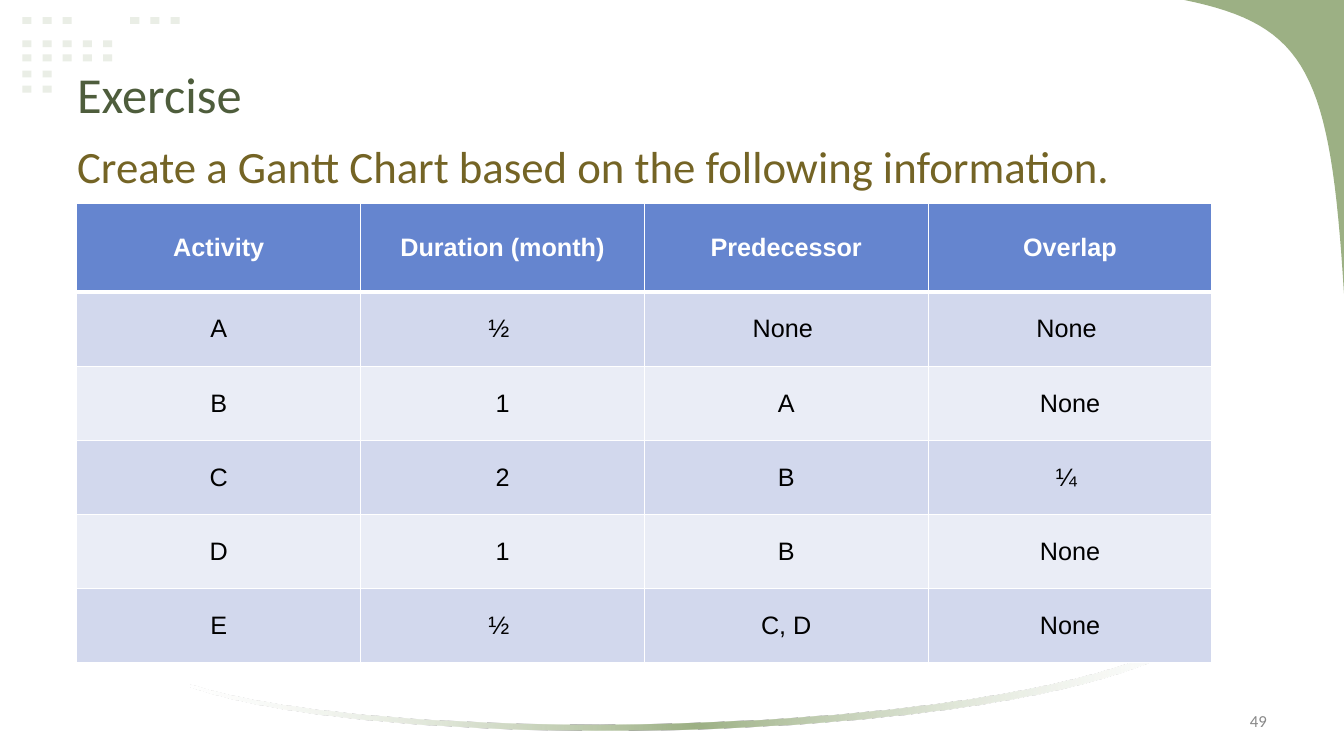
from dataclasses import dataclass

from lxml.etree import SubElement as Sub
from pptx import Presentation
from pptx.dml.color import RGBColor as RGB
from pptx.enum.shapes import MSO_SHAPE as Shape
from pptx.enum.text import MSO_ANCHOR as Anchor, PP_ALIGN as Align
from pptx.oxml import parse_xml
from pptx.oxml.ns import nsdecls, qn
from pptx.util import Pt


@dataclass(frozen=True)
class Theme:
    head_font: str = "Calibri"
    cell_font: str = "Arial"
    title: str = "4E5D3C"
    body: str = "746425"
    number: str = "888888"
    white: str = "FFFFFF"
    black: str = "000000"
    green: str = "9CB084"
    dot: str = "EAEEE6"
    header: str = "6585CF"
    bands: tuple = ("D2D8ED", "EAEDF6")
    title_size: int = 36
    body_size: int = 32
    cell_size: int = 18
    number_size: int = 12


THEME = Theme()

DOT_STEP = 14.4
# top of each row, then (left, count) of each run of dots
DOT_ROWS = [
    (12.2, [(16, 3), (93, 3)]),
    (28.8, [(16, 5)]),
    (38.9, [(16, 5)]),
    (50.4, [(16, 2)]),
    (61.2, [(16, 2)]),
]

CORNER = [(960, 209.5), (950.4, 52), (933.8, 18), (846, 0)]
ARC_LOW = [(856, 455), (751.7, 532.8), (275, 540), (136, 491)]
ARC_TOP = [(136, 489), (282.2, 535.7), (753.1, 526.3), (856, 450)]

ROWS = [
    ("Activity", "Duration (month)", "Predecessor", "Overlap"),
    ("A", "½ ", "None ", "None "),
    ("B", "1", "A", "None"),
    ("C", "2", "B", "¼ "),
    ("D", "1", "B", "None"),
    ("E", "½ ", "C, D", "None"),
]


def paint(shape, color):
    shape.shadow.inherit = False
    shape.line.fill.background()
    shape.fill.solid()
    shape.fill.fore_color.rgb = RGB.from_string(color)


def style(para, font, size, color, align=Align.LEFT, bold=False):
    para.alignment = align
    para.font.name = font
    para.font.size = Pt(size)
    para.font.bold = bold
    para.font.color.rgb = RGB.from_string(color)


def add_dots(slide):
    for top, runs in DOT_ROWS:
        for left, count in runs:
            for i in range(count):
                dot = slide.shapes.add_shape(
                    Shape.RECTANGLE, Pt(left + i * DOT_STEP), Pt(top), Pt(6.5), Pt(5))
                paint(dot, THEME.dot)


def curve(ends, steps=32):
    """Sample the cubic Bezier curve of four control points."""
    points = []
    for i in range(steps + 1):
        t = i / steps
        u = 1 - t
        parts = (u ** 3, 3 * u * u * t, 3 * u * t * t, t ** 3)
        points.append(tuple(sum(w * p[axis] for w, p in zip(parts, ends))
                            for axis in (0, 1)))
    return points


def add_form(slide, points):
    first, *rest = [(Pt(x), Pt(y)) for x, y in points]
    pen = slide.shapes.build_freeform(*first)
    pen.add_line_segments(rest, close=True)
    form = pen.convert_to_shape()
    paint(form, THEME.green)
    return form


def fade(form):
    """Fill the form with green that fades to clear white at both ends."""
    edge = f'<a:srgbClr val="{THEME.white}"><a:alpha val="30000"/></a:srgbClr>'
    grad = parse_xml(
        f'<a:gradFill {nsdecls("a")} rotWithShape="1"><a:gsLst>'
        f'<a:gs pos="0">{edge}</a:gs>'
        f'<a:gs pos="50000"><a:srgbClr val="{THEME.green}"/></a:gs>'
        f'<a:gs pos="100000">{edge}</a:gs>'
        '</a:gsLst><a:lin ang="0" scaled="0"/></a:gradFill>')
    props = form.element.spPr
    props.replace(props.find(qn("a:solidFill")), grad)


def add_text(slide, text, box, size, color, anchor=Anchor.TOP, align=Align.LEFT):
    frame = slide.shapes.add_textbox(*map(Pt, box)).text_frame
    frame.word_wrap = True
    frame.vertical_anchor = anchor
    para = frame.paragraphs[0]
    para.text = text
    style(para, THEME.head_font, size, color, align)


def set_edges(cell, top, bottom):
    props = cell._tc.get_or_add_tcPr()
    for side, width in (("L", 1), ("R", 1), ("T", top), ("B", bottom)):
        line = Sub(props, qn(f"a:ln{side}"), w=str(Pt(width)))
        fill = Sub(line, qn("a:solidFill"))
        Sub(fill, qn("a:srgbClr"), val=THEME.white)


def add_grid(slide):
    frame = slide.shapes.add_table(
        len(ROWS), len(ROWS[0]), Pt(54.9), Pt(145.6), Pt(810.8), Pt(328))
    grid = frame.table
    for col in grid.columns:
        col.width = Pt(202.7)
    for r, texts in enumerate(ROWS):
        head = r == 0
        grid.rows[r].height = Pt(63 if head else 53)
        back = THEME.header if head else THEME.bands[(r - 1) % 2]
        for c, text in enumerate(texts):
            cell = grid.cell(r, c)
            cell.text = text
            cell.vertical_anchor = Anchor.MIDDLE
            style(cell.text_frame.paragraphs[0], THEME.cell_font, THEME.cell_size,
                  THEME.white if head else THEME.black, Align.CENTER, head)
            set_edges(cell, 3 if r == 1 else 1, 3 if head else 1)
            cell.fill.solid()
            cell.fill.fore_color.rgb = RGB.from_string(back)


def main():
    deck = Presentation()
    deck.slide_width, deck.slide_height = Pt(960), Pt(540)
    slide = deck.slides.add_slide(deck.slide_layouts[6])
    add_dots(slide)
    add_form(slide, [(960, 0)] + curve(CORNER))
    fade(add_form(slide, curve(ARC_LOW) + curve(ARC_TOP)))
    add_text(slide, "Exercise", (48, 21.6, 864, 90),
             THEME.title_size, THEME.title, Anchor.MIDDLE)
    add_text(slide, "Create a Gantt Chart based on the following information.",
             (48, 95.3, 852, 87), THEME.body_size, THEME.body)
    add_text(slide, "49", (688, 500.5, 224, 28.8),
             THEME.number_size, THEME.number, Anchor.MIDDLE, Align.RIGHT)
    add_grid(slide)
    deck.save("out.pptx")


if __name__ == "__main__":
    main()
